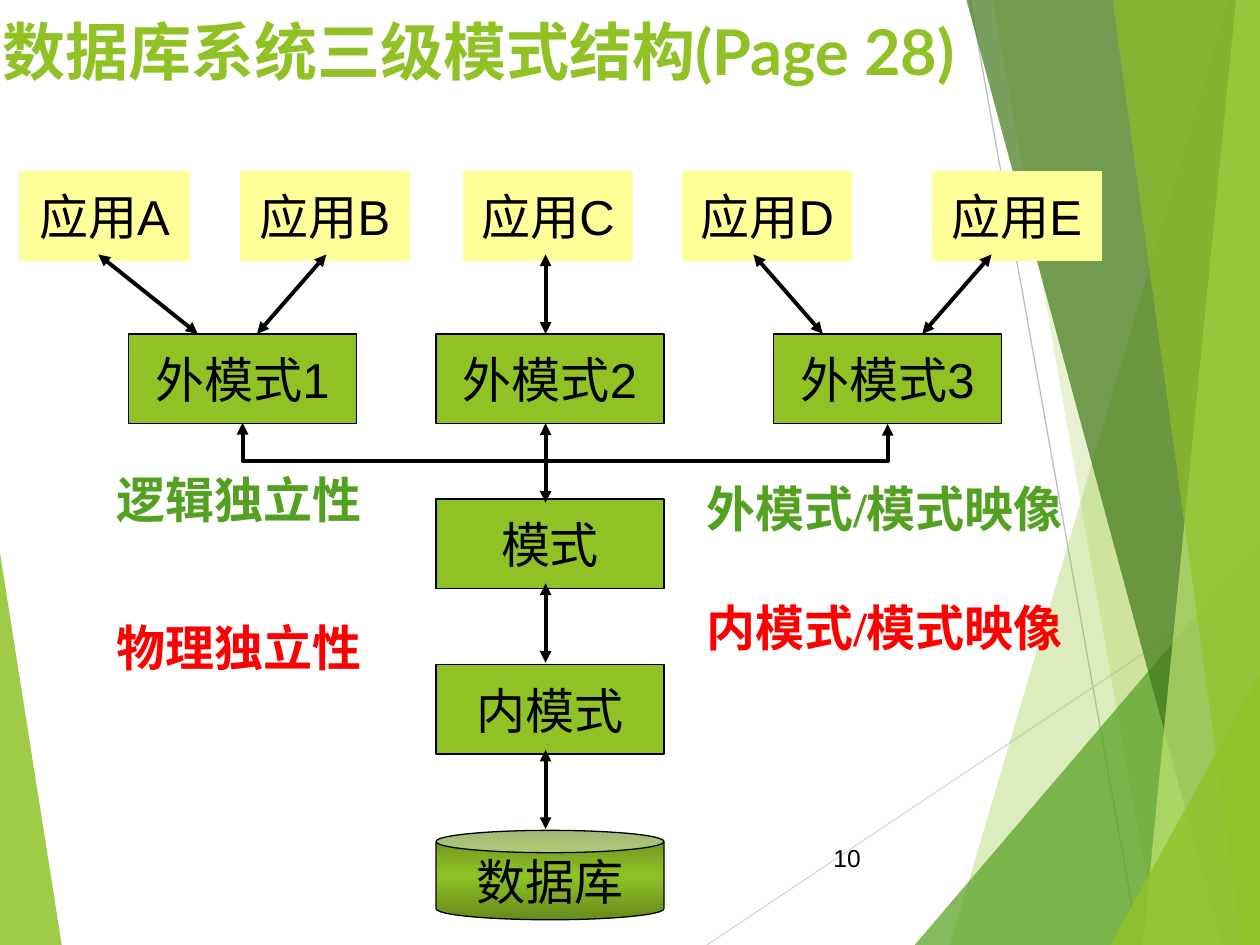
from copy import deepcopy

from lxml import etree
from pptx import Presentation
from pptx.dml.color import RGBColor
from pptx.enum.shapes import MSO_CONNECTOR, MSO_SHAPE
from pptx.enum.text import MSO_ANCHOR, MSO_AUTO_SIZE, PP_ALIGN
from pptx.oxml.ns import qn
from pptx.util import Inches, Pt

RECT, CAN = MSO_SHAPE.RECTANGLE, MSO_SHAPE.CAN
STRAIGHT, ELBOW = MSO_CONNECTOR.STRAIGHT, MSO_CONNECTOR.ELBOW
TOP, MIDDLE = MSO_ANCHOR.TOP, MSO_ANCHOR.MIDDLE
LEFT, CENTER, RIGHT = PP_ALIGN.LEFT, PP_ALIGN.CENTER, PP_ALIGN.RIGHT
GROW = MSO_AUTO_SIZE.SHAPE_TO_FIT_TEXT

LIME, GREEN, FOREST, PALE = "90C226", "54A021", "3F7819", "C0E474"
OLIVE, YELLOW, RED, BLACK = "678B1B", "FFFF99", "FF0000", "000000"

BOX_H = 0.71
APP_W, SCHEMA_W = 1.34, 1.81
AXIS_X = 4.33   # vertical line of arrows through the middle


def rgb(value):
    return RGBColor.from_string(value)


def add_run(tf, text, size, font, color, bold=False, align=LEFT):
    p = tf.paragraphs[0]
    p.alignment = align
    r = p.add_run()
    r.text = text
    r.font.size, r.font.name, r.font.bold = Pt(size), font, bold
    r.font.color.rgb = rgb(color)


def add_text(slide, box, text, size, font, color, bold=False, align=LEFT, anchor=TOP):
    tf = slide.shapes.add_textbox(*map(Inches, box)).text_frame
    tf.word_wrap = True
    tf.vertical_anchor = anchor
    add_run(tf, text, size, font, color, bold, align)
    return tf


def add_box(slide, box, text, fill, line=BLACK, kind=RECT):
    s = slide.shapes.add_shape(kind, *map(Inches, box))
    s.shadow.inherit = False
    s.fill.solid()
    s.fill.fore_color.rgb = rgb(fill)
    s.line.color.rgb = rgb(line)
    s.line.width = Pt(0.75)
    tf = s.text_frame
    tf.word_wrap = False
    tf.vertical_anchor = MIDDLE
    add_run(tf, text, 28, "Arial", BLACK, align=CENTER)
    return s


def add_line(slide, start, end, color, width, kind=STRAIGHT):
    c = slide.shapes.add_connector(kind, *map(Inches, (*start, *end)))
    c.line.color.rgb = rgb(color)
    c.line.width = Pt(width)
    etree.SubElement(c.element.spPr, qn("a:effectLst"))
    return c


def add_double_arrow(slide, start, end, kind=STRAIGHT):
    c = add_line(slide, start, end, BLACK, 2.25, kind)
    ln = c.element.spPr.find(qn("a:ln"))
    for tag in ("a:headEnd", "a:tailEnd"):
        etree.SubElement(ln, qn(tag), type="triangle")
    return c


def add_facet(slide, points, color, alpha):
    (x, y), *rest = [(Inches(px), Inches(py)) for px, py in points]
    builder = slide.shapes.build_freeform(x, y)
    builder.add_line_segments(rest, close=True)
    s = builder.convert_to_shape()
    s.shadow.inherit = False
    s.fill.solid()
    s.fill.fore_color.rgb = rgb(color)
    s.line.fill.background()
    clr = s.element.spPr.find(qn("a:solidFill"))[0]
    etree.SubElement(clr, qn("a:alpha"), val=str(alpha * 1000))


def draw_backdrop(slide, box):
    x, y, w, h = box
    right, bottom = x + w, y + h
    add_facet(slide, [(x, 4.39), (0.49, bottom), (x, bottom)], LIME, 85)
    add_line(slide, (5.61, bottom), (right, 4.57), "D9D9D9", 0.75)
    add_line(slide, (7.7, y), (9.04, bottom), "BFBFBF", 0.75)
    # Translucent bands: x at the top, x at the bottom, colour, opacity
    bands = [
        [(9.75, 7.54, LIME, 30), (7.88, 9.19, LIME, 20)],
        [(7.67, 9.7, FOREST, 70), (9.81, 9.07, PALE, 70), (8.83, 9.86, LIME, 65)],
    ]
    # Corner triangles: x at the bottom, y at the right edge
    corners = [(7.26, 4.29, GREEN, 72), (8.81, 5.35, LIME, 80)]
    for group, (cx, cy, corner_color, corner_alpha) in zip(bands, corners):
        for top_x, bottom_x, color, alpha in group:
            add_facet(slide, [(top_x, y), (bottom_x, bottom), (right, bottom),
                              (right, y)], color, alpha)
        add_facet(slide, [(cx, bottom), (right, cy), (right, bottom)],
                  corner_color, corner_alpha)


def draw_applications(slide, box):
    x, y, _, h = box
    for name, dx in zip("ABCDE", (0, 1.75, 3.52, 5.26, 7.24)):
        add_box(slide, (x + dx, y, APP_W, h), "应用" + name, YELLOW, YELLOW)


def draw_external_schemas(slide, box):
    x, y, _, h = box
    return [add_box(slide, (x + dx, y, SCHEMA_W, h), f"外模式{n}", LIME)
            for n, dx in enumerate((0, 2.44, 5.12), 1)]


def draw_storage_stack(slide, box):
    x, y, w, _ = box
    pitch = 1.315
    for i, name in enumerate(("模式", "内模式")):
        add_box(slide, (x, y + i * pitch, w, BOX_H), name, LIME)
    s = add_box(slide, (x, y + 2 * pitch, w, BOX_H), "数据库", LIME, kind=CAN)
    s.fill.gradient()
    s.fill.gradient_angle = 90
    stops = s.element.spPr.find(".//" + qn("a:gsLst"))
    stops.append(deepcopy(stops[0]))
    shades = ((0, OLIVE), (0.5, LIME), (1, OLIVE))
    for stop, (position, color) in zip(s.fill.gradient_stops, shades):
        stop.position = position
        stop.color.rgb = rgb(color)


def draw_bus(slide, first, last):
    """Bracket joining the bottoms of two boxes, 0.31 inch below them."""
    c = add_double_arrow(slide, (0, 0), (1, 1), ELBOW)
    c.begin_connect(first, 2)
    c.end_connect(last, 2)
    span = last.left - first.left
    depth = Inches(0.01)
    middle = first.left + (first.width + span) // 2
    c.left, c.top = middle - depth // 2, first.top + first.height - span // 2
    c.width, c.height = depth, span
    xfrm = c.element.spPr.find(qn("a:xfrm"))
    for flip in ("flipH", "flipV"):
        xfrm.attrib.pop(flip, None)
    xfrm.set("rot", "16200000")
    xfrm.set("flipH", "1")
    guides = c.element.spPr.find(qn("a:prstGeom")).find(qn("a:avLst"))
    etree.SubElement(guides, qn("a:gd"), name="adj1", fmla="val 3100000")


def draw_arrows(slide, box):
    _, y, _, h = box
    # Applications to external schemas
    for top_x, bottom_x in ((0.78, 1.57), (2.59, 2.04), (AXIS_X, AXIS_X),
                            (5.98, 6.53), (7.87, 7.32)):
        add_double_arrow(slide, (top_x, y), (bottom_x, y + h))
    # Down the middle to the database
    for top in (3.36, 4.63, 5.95):
        add_double_arrow(slide, (AXIS_X, top), (AXIS_X, top + h))


def draw_labels(slide):
    for box, text, color in (
        ((5.51, 4.69, 3.23, 0.57), "内模式/模式映像", RED),
        ((5.51, 3.75, 3.23, 0.57), "外模式/模式映像", GREEN),
        ((0.83, 4.85, 2.5, 0.57), "物理独立性", RED),
        ((0.83, 3.68, 2.67, 0.57), "逻辑独立性", GREEN),
    ):
        tf = add_text(slide, box, text, 28, "Times New Roman", color, bold=True)
        tf.auto_size = GROW


def main():
    prs = Presentation()
    prs.slide_width, prs.slide_height = Inches(10), Inches(7.5)
    slide = prs.slides.add_slide(prs.slide_layouts[6])
    draw_backdrop(slide, (0, 0, 10, 7.5))
    add_text(slide, (-0.08, 0.05, 9, 1.25), "数据库系统三级模式结构(Page 28)",
             36, "Lato", LIME, bold=True)
    add_text(slide, (6.37, 6.61, 0.56, 0.4), "10", 14, "Arial", BLACK,
             align=RIGHT, anchor=MIDDLE)
    draw_storage_stack(slide, (3.46, 3.96, SCHEMA_W, 3.34))
    schemas = draw_external_schemas(slide, (1.02, 2.65, 6.93, BOX_H))
    draw_applications(slide, (0.16, 1.36, 8.58, BOX_H))
    draw_bus(slide, schemas[0], schemas[-1])
    draw_arrows(slide, (0.78, 2.02, 7.09, 0.63))
    draw_labels(slide)
    prs.save("out.pptx")


if __name__ == "__main__":
    main()
